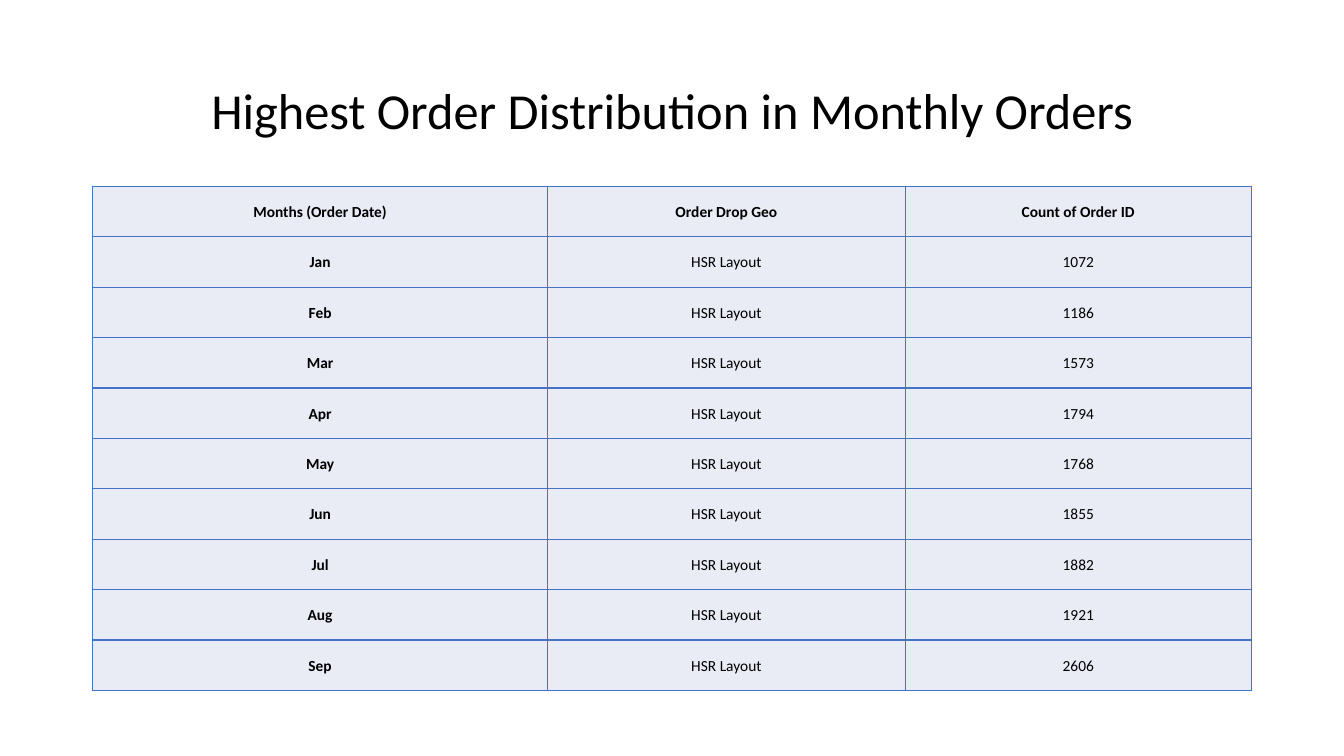
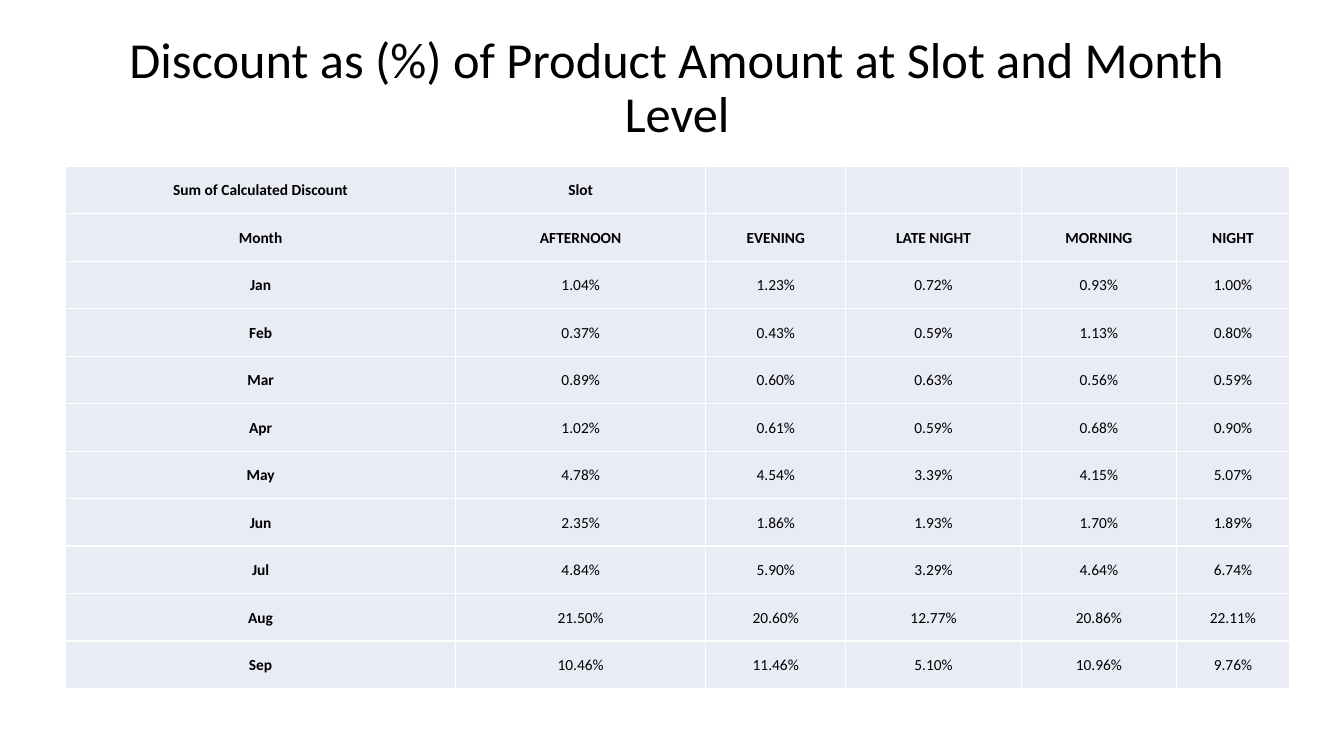
from lxml.etree import SubElement
from pptx import Presentation
from pptx.dml.color import RGBColor
from pptx.enum.text import MSO_ANCHOR, PP_ALIGN
from pptx.oxml.ns import qn
from pptx.util import Inches, Pt

COLORS = {"text": "000000", "cell": "E9EBF5", "blue": "4472C4", "white": "FFFFFF"}
FONT = "Calibri"
TITLE_SIZE, CELL_SIZE = 36, 11
TITLE_TOP = 0.4
CELL_INSET = 0.01
BORDER_WIDTH = 1

MONTHS = ["Jan", "Feb", "Mar", "Apr", "May", "Jun", "Jul", "Aug", "Sep"]

ORDER_HEADER = ["Months (Order Date)", "Order Drop Geo", "Count of Order ID"]
TOP_AREA = "HSR Layout"
ORDER_COUNTS = [1072, 1186, 1573, 1794, 1768, 1855, 1882, 1921, 2606]

DISCOUNT_HEADERS = [
    ["Sum of Calculated Discount", "Slot", "", "", "", ""],
    ["Month", "AFTERNOON", "EVENING", "LATE NIGHT", "MORNING", "NIGHT"],
]
DISCOUNTS = [
    [1.04, 1.23, 0.72, 0.93, 1.00],
    [0.37, 0.43, 0.59, 1.13, 0.80],
    [0.89, 0.60, 0.63, 0.56, 0.59],
    [1.02, 0.61, 0.59, 0.68, 0.90],
    [4.78, 4.54, 3.39, 4.15, 5.07],
    [2.35, 1.86, 1.93, 1.70, 1.89],
    [4.84, 5.90, 3.29, 4.64, 6.74],
    [21.50, 20.60, 12.77, 20.86, 22.11],
    [10.46, 11.46, 5.10, 10.96, 9.76],
]


def rgb(name):
    return RGBColor.from_string(COLORS[name])


def add_run(paragraph, text, size, bold=False):
    paragraph.alignment = PP_ALIGN.CENTER
    run = paragraph.add_run()
    run.text = text
    run.font.name = FONT
    run.font.size = Pt(size)
    run.font.bold = bold
    run.font.color.rgb = rgb("text")


def add_title(slide, text, left, width, height):
    title = slide.shapes.add_textbox(
        Inches(left), Inches(TITLE_TOP), Inches(width), Inches(height))
    frame = title.text_frame
    frame.word_wrap = True
    frame.vertical_anchor = MSO_ANCHOR.MIDDLE
    frame.paragraphs[0].line_spacing = 0.9
    add_run(frame.paragraphs[0], text, TITLE_SIZE)


def set_borders(cell, color):
    """Draw all four sides; the lines must precede the fill in the cell XML."""
    properties = cell._tc.get_or_add_tcPr()
    for position, side in enumerate(("lnL", "lnR", "lnT", "lnB")):
        line = SubElement(properties, qn(f"a:{side}"), w=str(Pt(BORDER_WIDTH)))
        fill = SubElement(line, qn("a:solidFill"))
        SubElement(fill, qn("a:srgbClr"), val=COLORS[color])
        properties.insert(position, line)


def fill_cell(cell, text, bold, border):
    cell.fill.solid()
    cell.fill.fore_color.rgb = rgb("cell")
    cell.margin_left = cell.margin_right = cell.margin_top = Inches(CELL_INSET)
    cell.margin_bottom = 0
    cell.vertical_anchor = MSO_ANCHOR.MIDDLE
    set_borders(cell, border)
    if text:
        add_run(cell.text_frame.paragraphs[0], text, CELL_SIZE, bold)


def add_data_table(slide, rows, header_count, left, top, widths, height, border):
    """Add a table with equal rows, bold header rows and a bold first column."""
    table = slide.shapes.add_table(
        len(rows), len(widths), Inches(left), Inches(top),
        Inches(sum(widths)), Inches(height)).table
    table.first_row = table.horz_banding = False
    for column, width in zip(table.columns, widths):
        column.width = Inches(width)
    for r, values in enumerate(rows):
        table.rows[r].height = Inches(height / len(rows))
        for c, value in enumerate(values):
            bold = r < header_count or c == 0
            fill_cell(table.cell(r, c), value, bold, border)


def build_orders(slide):
    left = 0.92
    add_title(slide, "Highest Order Distribution in Monthly Orders", left, 11.5, 1.45)
    rows = [ORDER_HEADER] + [
        [month, TOP_AREA, str(count)] for month, count in zip(MONTHS, ORDER_COUNTS)]
    add_data_table(slide, rows, 1, left, 1.85, [4.51, 3.55, 3.43], 5, "blue")


def build_discounts(slide):
    left = 0.65
    add_title(slide, "Discount as (%) of Product Amount at Slot and Month Level",
              left, 12.13, 0.97)
    rows = DISCOUNT_HEADERS + [
        [month] + [f"{share:.2f}%" for share in shares]
        for month, shares in zip(MONTHS, DISCOUNTS)]
    add_data_table(slide, rows, len(DISCOUNT_HEADERS), left, 1.65,
                   [3.87, 2.48, 1.39, 1.74, 1.54, 1.12], 5.18, "white")


def main():
    presentation = Presentation()
    presentation.slide_width = Inches(13.33)
    presentation.slide_height = Inches(7.5)
    blank = presentation.slide_layouts[6]
    for build in (build_orders, build_discounts):
        build(presentation.slides.add_slide(blank))
    presentation.save("out.pptx")


if __name__ == "__main__":
    main()
